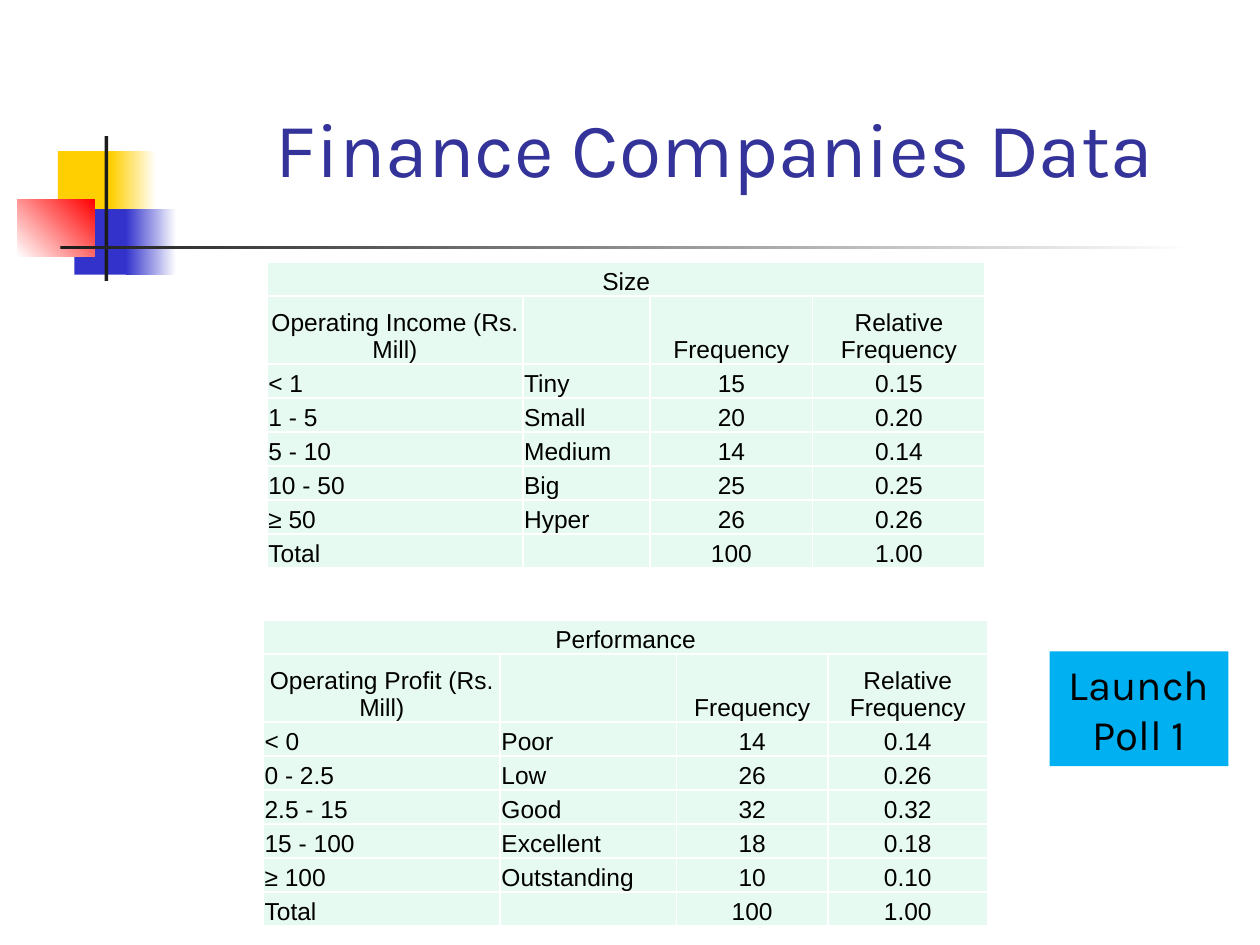
"""Build the finance companies slide with its two frequency tables."""
from dataclasses import dataclass

from lxml.etree import SubElement
from pptx import Presentation
from pptx.dml.color import RGBColor
from pptx.enum.shapes import MSO_SHAPE
from pptx.enum.text import MSO_ANCHOR, MSO_AUTO_SIZE, PP_ALIGN
from pptx.oxml.ns import qn
from pptx.util import Inches, Pt

COLORS = {
    "yellow": "FFCF01", "blue": "3333CC", "red": "FF0000", "dark": "1C1C1C",
    "white": "FFFFFF", "title": "333399", "cell": "E7FAF1", "poll": "00B0F0",
    "text": "000000",
}


@dataclass(frozen=True)
class Block:
    left: float
    top: float
    width: float
    height: float
    color: str
    end_color: str = ""
    angle: int = 0


@dataclass(frozen=True)
class FrequencyTable:
    left: float
    top: float
    columns: tuple[float, ...]
    heading: str
    measure: str
    rows: tuple[tuple[str, str, str, str], ...]


BLOCKS = (
    Block(0.46, 1.2, 0.48, 0.52, "yellow"),
    Block(0.88, 1.2, 0.36, 0.52, "yellow", "white"),
    Block(0.59, 1.66, 0.46, 0.52, "blue"),
    Block(1, 1.66, 0.4, 0.52, "blue", "white"),
    Block(0.14, 1.58, 0.61, 0.46, "white", "red", 45),
    Block(0.83, 1.08, 0.03, 1.15, "dark"),
    Block(0.48, 1.95, 9, 0.03, "dark", "white"),
)
TABLES = (
    FrequencyTable(2.09, 4.92, (1.88, 1.4, 1.2, 1.27), "Performance", "Operating Profit (Rs. Mill)", (
        ("< 0", "Poor", "14", "0.14"),
        ("0 - 2.5", "Low", "26", "0.26"),
        ("2.5 - 15", "Good", "32", "0.32"),
        ("15 - 100", "Excellent", "18", "0.18"),
        ("≥ 100", "Outstanding", "10", "0.10"),
    )),
    FrequencyTable(2.12, 2.08, (2.03, 1.01, 1.29, 1.37), "Size", "Operating Income (Rs. Mill)", (
        ("< 1", "Tiny", "15", "0.15"),
        ("1 - 5", "Small", "20", "0.20"),
        ("5 - 10", "Medium", "14", "0.14"),
        ("10 - 50", "Big", "25", "0.25"),
        ("≥ 50", "Hyper", "26", "0.26"),
    )),
)
ROW_HEIGHT = 0.27


def rgb(name: str) -> RGBColor:
    return RGBColor.from_string(COLORS[name])


def set_font(para, family: str, size: float, color: str) -> None:
    para.font.name = family
    para.font.size = Pt(size)
    para.font.color.rgb = rgb(color)


def add_block(page, block: Block):
    shape = page.shapes.add_shape(
        MSO_SHAPE.RECTANGLE, Inches(block.left), Inches(block.top),
        Inches(block.width), Inches(block.height))
    shape.shadow.inherit = False
    shape.line.fill.background()
    if block.end_color:
        shape.fill.gradient()
        shape.fill.gradient_angle = block.angle
        stops = shape.fill.gradient_stops
        for stop, position, color in zip(stops, (0, 1), (block.color, block.end_color)):
            stop.position = position
            stop.color.rgb = rgb(color)
    else:
        shape.fill.solid()
        shape.fill.fore_color.rgb = rgb(block.color)
    return shape


def format_cell(cell, text: str, centered: bool) -> None:
    cell.margin_left = cell.margin_right = cell.margin_top = Inches(0.01)
    cell.margin_bottom = 0
    cell.vertical_anchor = MSO_ANCHOR.BOTTOM
    properties = cell._tc.get_or_add_tcPr()
    for side in ("a:lnL", "a:lnR", "a:lnT", "a:lnB"):
        border = SubElement(properties, qn(side), w=str(Pt(1)))
        fill = SubElement(border, qn("a:solidFill"))
        SubElement(fill, qn("a:srgbClr"), val=COLORS["white"])
    cell.fill.solid()
    cell.fill.fore_color.rgb = rgb("cell")
    para = cell.text_frame.paragraphs[0]
    para.alignment = PP_ALIGN.CENTER if centered else PP_ALIGN.LEFT
    set_font(para, "Arial", 14, "text")
    if text:
        para.add_run().text = text
    else:
        SubElement(para._p, qn("a:endParaRPr"), sz="1400")


def add_frequency_table(page, data: FrequencyTable) -> None:
    rows = (
        (data.heading, "", "", ""),
        (data.measure, "", "Frequency", "Relative Frequency"),
        *data.rows,
        ("Total", "", "100", "1.00"),
    )
    heights = [ROW_HEIGHT * (2 if index == 1 else 1) for index in range(len(rows))]
    frame = page.shapes.add_table(
        len(rows), len(data.columns), Inches(data.left), Inches(data.top),
        Inches(sum(data.columns)), Inches(sum(heights)))
    table = frame.table
    table.first_row = table.horz_banding = False
    for column, width in zip(table.columns, data.columns):
        column.width = Inches(width)
    for row_index, (row, height) in enumerate(zip(rows, heights)):
        table.rows[row_index].height = Inches(height)
        for column_index, text in enumerate(row):
            centered = row_index < 2 or column_index > 1
            format_cell(table.cell(row_index, column_index), text, centered)
    table.cell(0, 0).merge(table.cell(0, len(data.columns) - 1))


def add_title(page, text: str) -> None:
    title = page.shapes.title
    title.left, title.top = Inches(2.09), Inches(0.33)
    title.width, title.height = Inches(7.25), Inches(1.25)
    frame = title.text_frame
    frame.text = text
    frame.auto_size = MSO_AUTO_SIZE.NONE
    frame.vertical_anchor = MSO_ANCHOR.BOTTOM
    para = frame.paragraphs[0]
    para.alignment = PP_ALIGN.LEFT
    set_font(para, "Karla", 44, "title")


def add_poll_box(page) -> None:
    box = add_block(page, Block(8.33, 5.17, 1.42, 0.91, "poll"))
    frame = box.text_frame
    frame.word_wrap = True
    frame.auto_size = MSO_AUTO_SIZE.SHAPE_TO_FIT_TEXT
    frame.text = "Launch Poll 1"
    para = frame.paragraphs[0]
    para.alignment = PP_ALIGN.CENTER
    set_font(para, "Karla", 24, "text")


def main() -> None:
    deck = Presentation()
    deck.slide_width, deck.slide_height = Inches(10), Inches(7.5)
    page = deck.slides.add_slide(deck.slide_layouts.get_by_name("Title Only"))
    for block in BLOCKS:
        add_block(page, block)
    add_title(page, "Finance Companies Data")
    for data in TABLES:
        add_frequency_table(page, data)
    add_poll_box(page)
    deck.save("out.pptx")


main()
